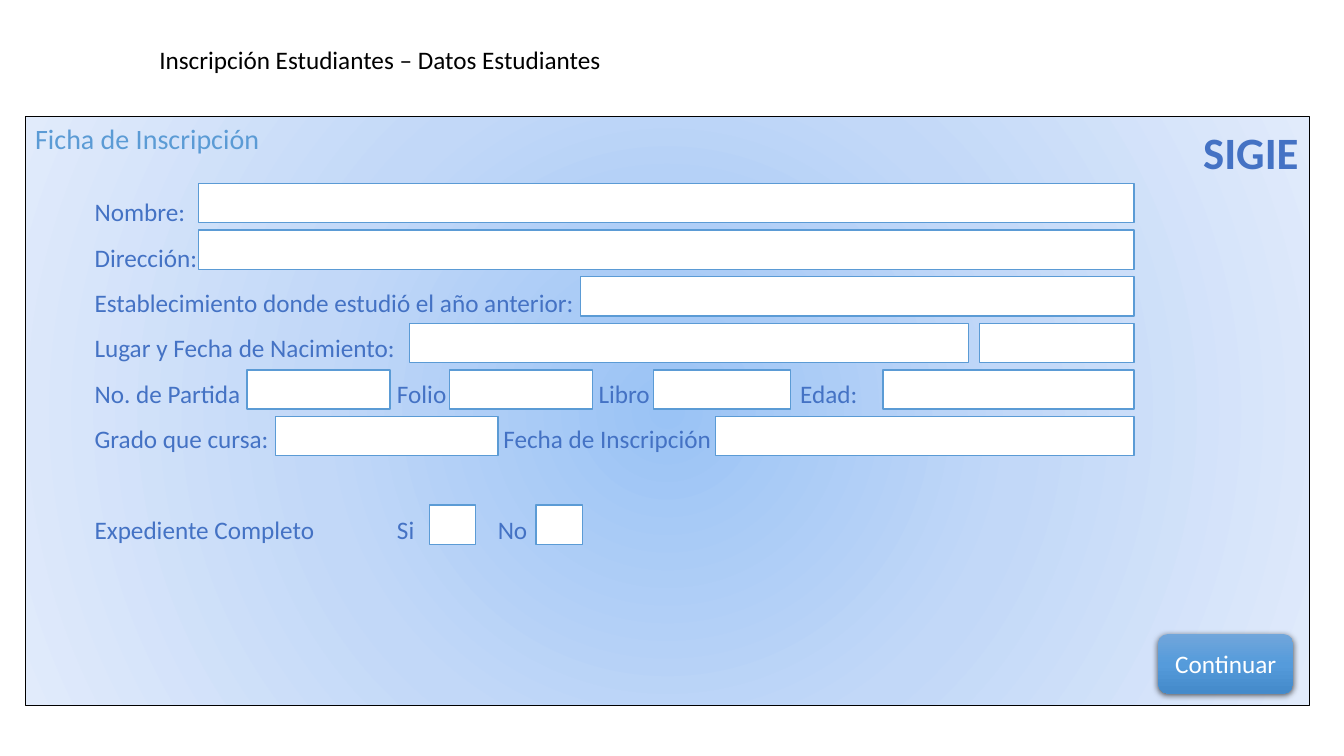
from lxml import etree
from pptx import Presentation
from pptx.dml.color import RGBColor
from pptx.enum import shapes, text
from pptx.oxml import ns
from pptx.util import Pt

COLORS = {
    "black": "000000",
    "white": "FFFFFF",
    "label": "4472C4",
    "accent": "5B9BD5",
}
PANEL_STOPS = {0: "9AC3F5", 50: "C2D8F8", 100: "E1EBFB"}
BUTTON_STOPS = {0: "71A6DB", 50: "559BDB", 100: "448ACA"}
HEADING = {"size": Pt(18), "color": "black"}
FORM_TITLE = {"size": Pt(20), "color": "accent"}
SYSTEM_NAME = {"size": Pt(32), "color": "label", "bold": True}
LABEL = {"size": Pt(18), "color": "label"}
BUTTON_LABEL = {"size": Pt(18), "color": "white"}

LABEL_ROWS = [
    ("Nombre:", []),
    ("Dirección:", []),
    ("Establecimiento donde estudió el año anterior:", []),
    ("Lugar y Fecha de Nacimiento:", []),
    ("No. de Partida\tFolio\tLibro\tEdad:", [216, 360, 504]),
    ("Grado que cursa:\tFecha de Inscripción", [292]),
    ("Expediente Completo\tSi\tNo", [216, 288]),
]
FIELD_ROWS = {
    0: [(123.8, 792)],
    1: [(123.8, 792)],
    2: [(396.7, 792)],
    3: [(274.3, 673.9), (681.8, 792)],
    4: [(158.4, 260.6), (303.1, 405.3), (448.6, 546.5), (612.7, 792)],
    5: [(178.6, 337.7), (493.2, 792)],
    6.9: [(288.7, 321.8), (365, 398.1)],
}
FIELDS_TOP, FIELD_PITCH, FIELD_HEIGHT = 47.5, 33.3, 28.1


def rgb(name):
    return RGBColor.from_string(COLORS[name])


def add_child(parent, tag, **attributes):
    child = etree.SubElement(parent, ns.qn(tag))
    for key, value in attributes.items():
        child.set(key, str(value))
    return child


def write(paragraph, wording, look):
    run = paragraph.add_run()
    run.text = wording
    run.font.name = "Calibri"
    for key, value in look.items():
        if key == "color":
            run.font.color.rgb = rgb(value)
        else:
            setattr(run.font, key, value)
    return run


def add_text(slide, box, wrap):
    frame = slide.shapes.add_textbox(*map(Pt, box)).text_frame
    frame.word_wrap = wrap
    return frame


def add_block(slide, kind, box):
    block = slide.shapes.add_shape(kind, *map(Pt, box))
    block.shadow.inherit = False
    return block


def fill_gradient(block, stops, radial):
    block.fill.gradient()
    gradient = block._element.spPr.find(ns.qn("a:gradFill"))
    for child in list(gradient):
        gradient.remove(child)
    stop_list = add_child(gradient, "a:gsLst")
    for percent, color in stops.items():
        stop = add_child(stop_list, "a:gs", pos=percent * 1000)
        add_child(stop, "a:srgbClr", val=color)
    if radial:
        focus = add_child(gradient, "a:path", path="circle")
        add_child(focus, "a:fillToRect", l=50000, t=50000, r=50000, b=50000)
    else:
        add_child(gradient, "a:lin", ang=5400000, scaled=0)


def add_heading(slide, box):
    heading = slide.shapes.title
    for side, length in zip(("left", "top", "width", "height"), box):
        setattr(heading, side, Pt(length))
    frame = heading.text_frame
    frame.word_wrap = False
    frame.auto_size = text.MSO_AUTO_SIZE.NONE
    frame.vertical_anchor = text.MSO_ANCHOR.TOP
    paragraph = frame.paragraphs[0]
    paragraph.alignment = text.PP_ALIGN.LEFT
    paragraph.line_spacing = 1.0
    write(paragraph, "Inscripción Estudiantes – Datos Estudiantes", HEADING)


def add_panel(slide, box):
    left, top, width, height = box
    panel = add_block(slide, shapes.MSO_SHAPE.RECTANGLE, box)
    fill_gradient(panel, PANEL_STOPS, radial=True)
    panel.line.color.rgb = rgb("black")
    panel.line.width = Pt(0.75)

    system_box = (left + width - 83.5, top + 2.2, 83.5, 46)
    system_name = add_text(slide, system_box, False).paragraphs[0]
    system_name.alignment = text.PP_ALIGN.CENTER
    run = write(system_name, "SIGIE", SYSTEM_NAME)
    outline = etree.Element(ns.qn("a:ln"), w=str(Pt(0.75)))
    add_child(add_child(outline, "a:solidFill"), "a:srgbClr", val=COLORS["white"])
    run.font._element.insert(0, outline)

    form_title = add_text(slide, (left, top, 322.6, 31.7), True)
    write(form_title.paragraphs[0], "Ficha de Inscripción", FORM_TITLE)


def add_labels(slide, box):
    frame = add_text(slide, box, True)
    for index, (wording, tab_stops) in enumerate(LABEL_ROWS):
        paragraph = frame.add_paragraph() if index else frame.paragraphs[0]
        paragraph.line_spacing = 1.5
        if index == len(LABEL_ROWS) - 1:
            paragraph.space_before = Pt(32.4)
        if tab_stops:
            tabs = add_child(paragraph._p.get_or_add_pPr(), "a:tabLst")
            for stop in tab_stops:
                add_child(tabs, "a:tab", pos=Pt(stop), algn="l")
        write(paragraph, wording, LABEL)


def add_fields(slide, box):
    left, top = box[:2]
    for row, spans in FIELD_ROWS.items():
        field_top = top + FIELDS_TOP + row * FIELD_PITCH
        for start, end in spans:
            field_box = (left + start, field_top, end - start, FIELD_HEIGHT)
            field = add_block(slide, shapes.MSO_SHAPE.RECTANGLE, field_box)
            field.fill.solid()
            field.fill.fore_color.rgb = rgb("white")
            field.line.color.rgb = rgb("accent")
            field.line.width = Pt(1)


def add_continue_button(slide, box):
    button = add_block(slide, shapes.MSO_SHAPE.ROUNDED_RECTANGLE, box)
    fill_gradient(button, BUTTON_STOPS, radial=False)
    button.line.fill.background()
    effects = button._element.spPr.find(ns.qn("a:effectLst"))
    shadow = add_child(effects, "a:outerShdw", blurRad=Pt(4.5), dist=Pt(1.5),
                       dir=5400000, algn="ctr", rotWithShape=0)
    shade = add_child(shadow, "a:srgbClr", val=COLORS["black"])
    add_child(shade, "a:alpha", val=63000)
    frame = button.text_frame
    frame.vertical_anchor = text.MSO_ANCHOR.MIDDLE
    frame.paragraphs[0].alignment = text.PP_ALIGN.CENTER
    write(frame.paragraphs[0], "Continuar", BUTTON_LABEL)


def add_enrolment_form(slide, box):
    left, top, width, height = box
    add_panel(slide, box)
    add_continue_button(slide, (left + 809.3, top + 369.4, 96.5, 42.5))
    add_labels(slide, (left + 42.5, top + 42.5, 889.9, 269.3))
    add_fields(slide, box)


def main():
    deck = Presentation()
    deck.slide_width, deck.slide_height = Pt(960), Pt(540)
    slide = deck.slides.add_slide(deck.slide_layouts[5])
    add_heading(slide, (106.6, 28.1, 333.4, 28.8))
    add_enrolment_form(slide, (18, 83.5, 917.3, 420.5))
    deck.save("out.pptx")


if __name__ == "__main__":
    main()
